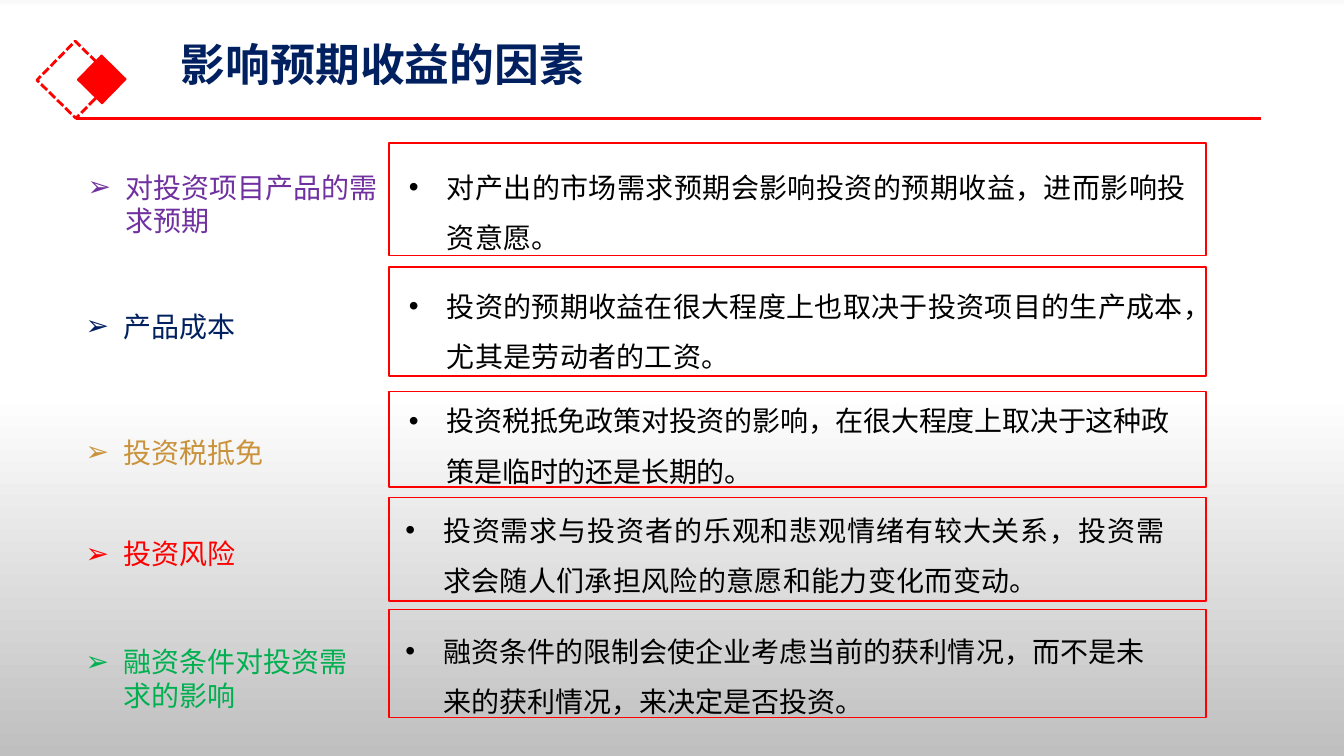
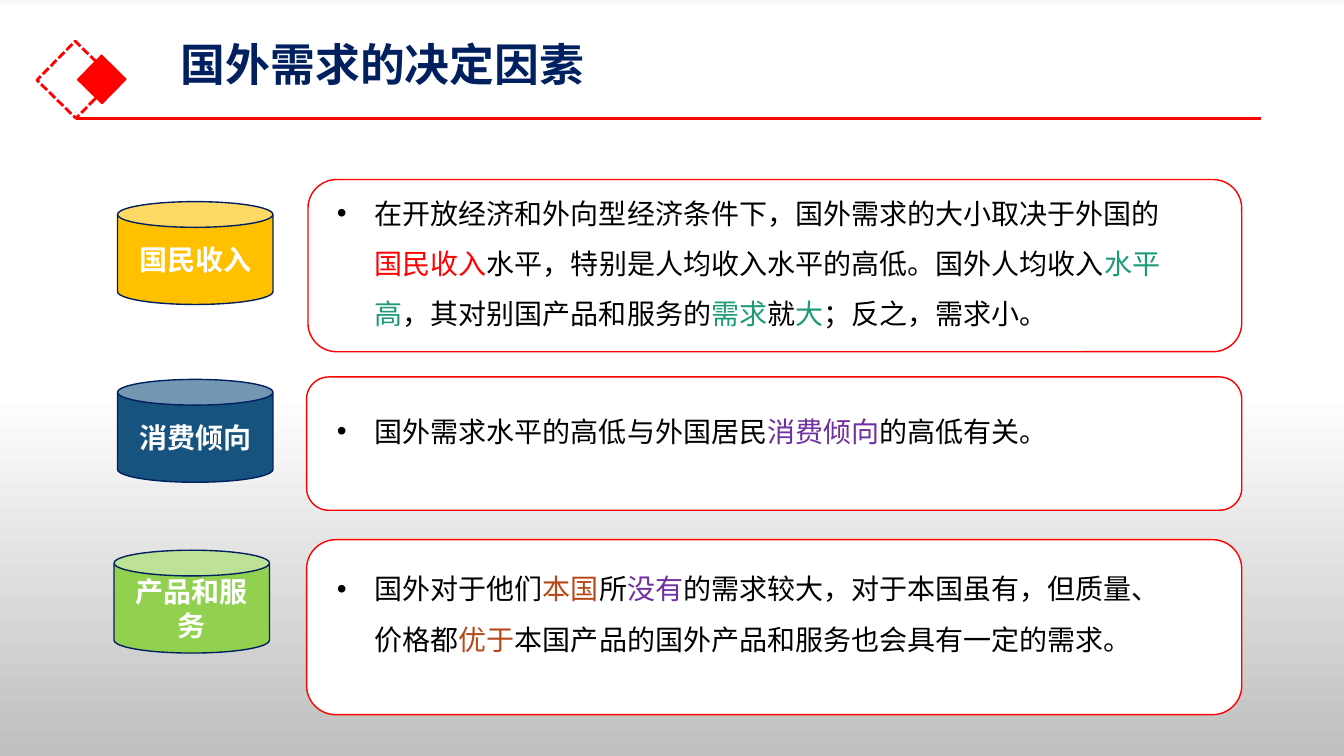
from lxml.etree import SubElement
from pptx import Presentation
from pptx.dml.color import RGBColor
from pptx.enum.dml import MSO_LINE
from pptx.enum.shapes import MSO_CONNECTOR, MSO_SHAPE
from pptx.enum.text import MSO_ANCHOR, MSO_AUTO_SIZE, PP_ALIGN
from pptx.oxml.ns import qn
from pptx.util import Pt

FONT = "Noto Sans CJK SC"
NAVY = RGBColor(0x00, 0x20, 0x60)
RED = RGBColor(0xFF, 0x00, 0x00)
BLACK = RGBColor(0x00, 0x00, 0x00)
WHITE = RGBColor(0xFF, 0xFF, 0xFF)
PURPLE = RGBColor(0x70, 0x30, 0xA0)
OCHRE = RGBColor(0xC9, 0x92, 0x3B)
GREEN = RGBColor(0x00, 0xB0, 0x50)
TEAL = RGBColor(0x1D, 0x9A, 0x78)
RUST = RGBColor(0xB7, 0x49, 0x19)
AMBER = RGBColor(0xFF, 0xC0, 0x00)
BLUE = RGBColor(0x16, 0x53, 0x7F)
LIME = RGBColor(0x92, 0xD0, 0x50)
BACKGROUND = [(0, "F9F9F9"), (1, "FFFFFF"), (52, "FFFFFF"), (100, "BFBFBF")]


def write(tf, runs, size=20, color=BLACK, bold=False, align=PP_ALIGN.LEFT,
          spacing=1.0, bullet=None, tracking=0, anchor=MSO_ANCHOR.TOP):
    """Fill a text frame with one paragraph; runs is a string or (text, colour) pairs."""
    tf.word_wrap = True
    tf.auto_size = MSO_AUTO_SIZE.NONE
    tf.vertical_anchor = anchor
    p = tf.paragraphs[0]
    p.alignment = align
    p.line_spacing = spacing
    if bullet:
        pPr = p._p.get_or_add_pPr()
        pPr.set("marL", str(Pt(27)))
        pPr.set("indent", str(-Pt(27)))
        pPr.set("hangingPunct", "1")
        SubElement(pPr, qn("a:buFont")).set("typeface", "Arial")
        SubElement(pPr, qn("a:buChar")).set("char", bullet)
    for text, run_color in [(runs, color)] if isinstance(runs, str) else runs:
        r = p.add_run()
        r.text = text
        r.font.size = Pt(size)
        r.font.bold = bold
        r.font.color.rgb = run_color
        r.font.name = FONT
        rPr = r._r.get_or_add_rPr()
        SubElement(rPr, qn("a:ea")).set("typeface", FONT)
        if tracking:
            rPr.set("spc", str(round(tracking * 100)))


def add_box(s, kind, left, top, width, height, fill=None, line=RED, weight=1):
    sp = s.shapes.add_shape(kind, Pt(left), Pt(top), Pt(width), Pt(height))
    sp.shadow.inherit = False
    if fill is None:
        sp.fill.background()
    else:
        sp.fill.solid()
        sp.fill.fore_color.rgb = fill
    sp.line.color.rgb = line
    sp.line.width = Pt(weight)
    return sp


prs = Presentation()
prs.slide_width, prs.slide_height = Pt(960), Pt(540)

fill = prs.slide_master.background.fill
fill.gradient()
fill.gradient_angle = 270
stops = prs.slide_master.element.find(".//" + qn("a:gsLst"))
for stop in list(stops):
    stops.remove(stop)
for percent, value in BACKGROUND:
    stop = SubElement(stops, qn("a:gs"))
    stop.set("pos", str(percent * 1000))
    SubElement(stop, qn("a:srgbClr")).set("val", value)

# Slides with their shared header
for title in ("影响预期收益的因素", "国外需求的决定因素"):
    s = prs.slides.add_slide(prs.slide_layouts[5])
    sp = s.shapes.title
    sp.left, sp.top, sp.width, sp.height = Pt(122), Pt(22), Pt(828), Pt(52)
    write(sp.text_frame, title, size=32, color=NAVY, bold=True, spacing=0.9,
          anchor=MSO_ANCHOR.MIDDLE)
    outline = add_box(s, MSO_SHAPE.RECTANGLE, 34.5, 37.5, 39, 39, weight=2)
    outline.line.dash_style = MSO_LINE.SQUARE_DOT
    diamond = add_box(s, MSO_SHAPE.RECTANGLE, 60.5, 44.5, 24.5, 24.5, fill=RED)
    outline.rotation = diamond.rotation = 314.5
    rule = s.shapes.add_connector(MSO_CONNECTOR.STRAIGHT, Pt(54), Pt(84.5), Pt(901), Pt(84.5))
    rule.line.color.rgb = RED
    rule.line.width = Pt(2.25)
    SubElement(rule._element.spPr, qn("a:effectLst"))

returns_slide, demand_slide = prs.slides

# Factors of expected return:
# label, colour, (left, top, width), frame (top, height), text, (left, top, width), tracking, align
factors = [
    ("对投资项目产品的需求预期", PURPLE, (55.5, 118, 230), (102.25, 80.5),
     "对产出的市场需求预期会影响投资的预期收益，进而影响投资意愿。",
     (285, 106, 569.5), 0.2, PP_ALIGN.JUSTIFY),
    ("产品成本", NAVY, (54, 217.5, 206), (190.75, 78),
     "投资的预期收益在很大程度上也取决于投资项目的生产成本，尤其是劳动者的工资。",
     (285, 191, 583.5), 0.2, PP_ALIGN.LEFT),
    ("投资税抵免", OCHRE, (54, 307.5, 206), (279.5, 68.5),
     "投资税抵免政策对投资的影响，在很大程度上取决于这种政策是临时的还是长期的。",
     (285, 273, 569.5), -0.2, PP_ALIGN.LEFT),
    ("投资风险", RED, (54, 380, 206), (355.25, 74),
     "投资需求与投资者的乐观和悲观情绪有较大关系，投资需求会随人们承担风险的意愿和能力变化而变动。",
     (282.5, 351, 556.5), 0.2, PP_ALIGN.JUSTIFY),
    ("融资条件对投资需求的影响", GREEN, (54, 457, 206), (435.5, 77.25),
     "融资条件的限制会使企业考虑当前的获利情况，而不是未来的获利情况，来决定是否投资。",
     (282.5, 437.5, 556.5), 0, PP_ALIGN.LEFT),
]
for label, color, label_at, (top, height), text, text_at, tracking, align in factors:
    add_box(returns_slide, MSO_SHAPE.RECTANGLE, 278, top, 583.5, height)
    left, top, width = map(Pt, label_at)
    tb = returns_slide.shapes.add_textbox(left, top, width, Pt(55))
    write(tb.text_frame, label, color=color, bullet="➢")
    left, top, width = map(Pt, text_at)
    tb = returns_slide.shapes.add_textbox(left, top, width, Pt(75.5))
    write(tb.text_frame, text, bullet="•", spacing=1.5, tracking=tracking, align=align)

# Determinants of foreign demand:
# label, colour, can (left, top), panel (left, top, width, height), text (top, height), spacing, runs
determinants = [
    ("国民收入", AMBER, (84, 144), (220, 128.25, 667, 123), (124.5, 116.5), 1.5,
     [("在开放经济和外向型经济条件下，国外需求的大小取决于外国的", BLACK),
      ("国民收入", RED), ("水平，特别是人均收入水平的高低。国外人均收入", BLACK),
      ("水平高", TEAL), ("，其对别国产品和服务的", BLACK), ("需求", TEAL),
      ("就", BLACK), ("大", TEAL), ("；反之，需求小。", BLACK)]),
    ("消费倾向", BLUE, (84, 271), (219, 269.25, 668, 95.25), (292.5, 31.5), 1.0,
     [("国外需求水平的高低与外国居民", BLACK), ("消费倾向", PURPLE),
      ("的高低有关。", BLACK)]),
    ("产品和服务", LIME, (81.5, 393), (219, 385.5, 668, 125), (393, 75.5), 1.5,
     [("国外对于他们", BLACK), ("本国", RUST), ("所", BLACK), ("没有", PURPLE),
      ("的需求较大，对于本国虽有，但质量、价格都", BLACK), ("优于", RUST),
      ("本国产品的国外产品和服务也会具有一定的需求。", BLACK)]),
]
for label, color, can_at, panel, (top, height), spacing, runs in determinants:
    add_box(demand_slide, MSO_SHAPE.ROUNDED_RECTANGLE, *panel, fill=WHITE)
    can = add_box(demand_slide, MSO_SHAPE.CAN, *can_at, 111, 73.5, fill=color, line=NAVY)
    write(can.text_frame, label, color=WHITE, bold=True, align=PP_ALIGN.CENTER,
          anchor=MSO_ANCHOR.MIDDLE)
    tb = demand_slide.shapes.add_textbox(Pt(233.5), Pt(top), Pt(615.5), Pt(height))
    write(tb.text_frame, runs, bullet="•", spacing=spacing)

prs.save("out.pptx")
